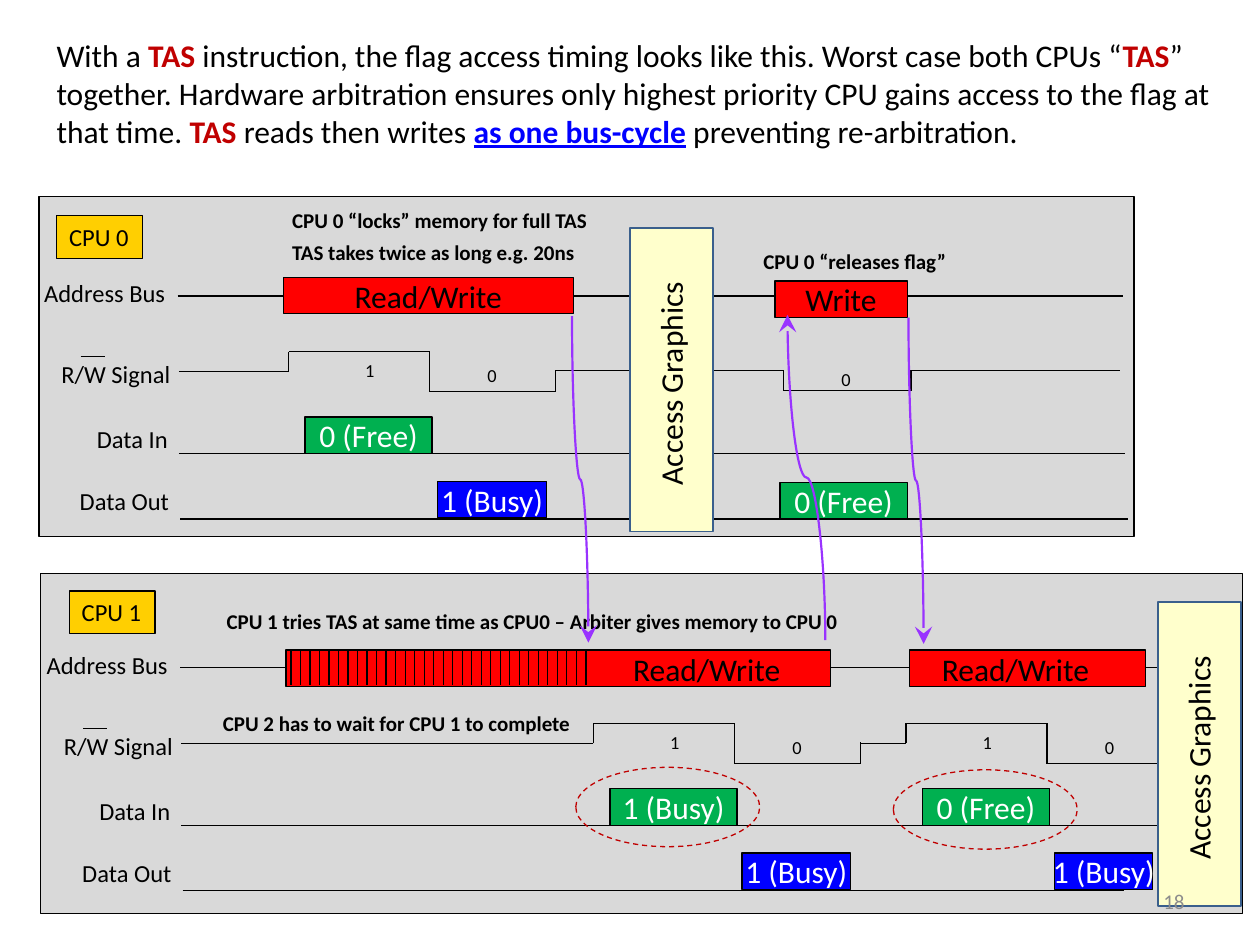
"""Build the slide on TAS flag access timing for two CPUs."""
from itertools import pairwise

from lxml.etree import SubElement
from pptx import Presentation
from pptx.dml.color import RGBColor
from pptx.enum.dml import MSO_LINE
from pptx.enum.shapes import MSO_CONNECTOR, MSO_SHAPE
from pptx.enum.text import MSO_ANCHOR, MSO_AUTO_SIZE, PP_ALIGN
from pptx.oxml.ns import qn
from pptx.util import Inches, Pt

COLORS = {
    "black": "000000", "white": "FFFFFF", "panel": "D9D9D9", "tag": "FFCF01",
    "access": "FF0000", "read": "00B050", "write": "0000FF", "graphics": "FFFFCC",
    "graphics_edge": "3A5F8C", "accent": "C00000", "handover": "9933FF", "number": "8C8C8C",
}
FORMATS = {
    "body": {"size": Pt(18)},
    "strong": {"size": Pt(18), "bold": True},
    "link": {"size": Pt(18), "bold": True, "underline": True},
    "label": {"size": Pt(14)},
    "note": {"size": Pt(12), "bold": True},
    "number": {"size": Pt(12)},
    "bit": {"size": Pt(10.5)},
}
INTRO = [
    ("With a ", "body", "black"), ("TAS", "strong", "accent"),
    (" instruction, the flag access timing looks like this. Worst case both CPUs “", "body", "black"),
    ("TAS", "strong", "accent"),
    ("” together. Hardware arbitration ensures only highest priority CPU gains access "
     "to the flag at that time. ", "body", "black"),
    ("TAS ", "strong", "accent"), ("reads then writes ", "body", "black"),
    ("as one bus-cycle", "link", "write"), (" preventing re-arbitration.", "body", "black"),
]
SIGNALS = [
    ("Address Bus", 0.13, 2.16), ("R/W Signal", 0.17, 2.8),
    ("Data In", 0.15, 3.32), ("Data Out", 0.16, 3.81),
]
NOTES = [
    ("TAS takes twice as long e.g. 20ns", 2.22, 1.85, 2.49),
    ("CPU 0 “locks” memory for full TAS", 2.22, 1.6, 2.59),
    ("CPU 0 “releases flag”", 5.96, 1.92, 1.67),
    ("CPU 2 has to wait for CPU 1 to complete", 1.67, 5.59, 3.01),
    ("CPU 1 tries TAS at same time as CPU0 – Arbiter gives memory to CPU 0", 1.7, 4.78, 5.13),
]
HANDOVERS = [((4.54, 2.51), (4.67, 5.1)), ((6.55, 5.08), (6.25, 2.5)), ((7.21, 2.52), (7.33, 5.11))]
CPU1_DOWN = 2.95
BAR_HEIGHT = 0.29


def rgb(name):
    """Return the named colour."""
    return RGBColor.from_string(COLORS[name])


def write(frame, runs, align=PP_ALIGN.LEFT):
    """Fill a text frame with one paragraph of formatted runs."""
    paragraph = frame.paragraphs[0]
    paragraph.alignment = align
    for words, style, color in runs:
        run = paragraph.add_run()
        run.text = words
        run.font.name = "Calibri"
        run.font.color.rgb = rgb(color)
        for attribute, value in FORMATS[style].items():
            setattr(run.font, attribute, value)


def add_words(slide, box, runs, align=PP_ALIGN.LEFT, wrap=False, grow=True):
    """Add a text box and return it."""
    words = slide.shapes.add_textbox(*map(Inches, box))
    words.text_frame.word_wrap = wrap
    if grow:
        words.text_frame.auto_size = MSO_AUTO_SIZE.SHAPE_TO_FIT_TEXT
    write(words.text_frame, runs, align)
    return words


def add_block(slide, box, fill, edge="black", width=0.75, kind=MSO_SHAPE.RECTANGLE):
    """Add an outlined preset shape, hollow when fill is None."""
    block = slide.shapes.add_shape(kind, *map(Inches, box))
    block.shadow.inherit = False
    if fill:
        block.fill.solid()
        block.fill.fore_color.rgb = rgb(fill)
    else:
        block.fill.background()
    block.line.color.rgb = rgb(edge)
    block.line.width = Pt(width)
    return block


def add_bar(slide, left, top, width, words, fill, ink="white"):
    """Add a bus activity bar with centred words."""
    frame = add_block(slide, (left, top, width, BAR_HEIGHT), fill).text_frame
    frame.word_wrap = False
    frame.vertical_anchor = MSO_ANCHOR.MIDDLE
    write(frame, [(words, "body", ink)], PP_ALIGN.CENTER)


def add_line(slide, start, end, color="black", width=0.75, kind=MSO_CONNECTOR.STRAIGHT):
    """Add a connector without shadow and return it."""
    line = slide.shapes.add_connector(kind, *map(Inches, (*start, *end)))
    line.line.color.rgb = rgb(color)
    line.line.width = Pt(width)
    SubElement(line._element.spPr, qn("a:effectLst"))
    return line


def add_trace(slide, points):
    """Draw a signal level as straight segments through the points."""
    for start, end in pairwise(points):
        add_line(slide, start, end)


def add_handover(slide, start, end):
    """Add a curved arrow that leaves and arrives vertically."""
    middle_x, middle_y = (start[0] + end[0]) / 2, (start[1] + end[1]) / 2
    turned = [(middle_x + middle_y - y, middle_y + x - middle_x) for x, y in (start, end)]
    curve = add_line(slide, *turned, "handover", 1.25, MSO_CONNECTOR.CURVE)
    curve._element.spPr.find(qn("a:xfrm")).set("rot", str(270 * 60000))
    SubElement(curve.line._get_or_add_ln(), qn("a:tailEnd"), type="stealth", w="lg", len="lg")


def add_panel(slide, name, box, tag_at, right, down, line_ends):
    """Add a CPU panel with its tag, signal labels and base lines."""
    add_block(slide, box, "panel")
    tag = add_block(slide, (*tag_at, 0.68, 0.34), "tag").text_frame
    tag.word_wrap = False
    tag.vertical_anchor = MSO_ANCHOR.TOP
    write(tag, [(name, "label", "black")])
    for signal, left, top in SIGNALS:
        add_words(slide, (left + right, top + down, 1.28, 0.34),
                  [(signal, "label", "black")], PP_ALIGN.RIGHT, wrap=True)
    add_line(slide, (0.64 + right, 2.83 + down), (0.83 + right, 2.83 + down))
    for left, y, end in zip((1.41, 1.42, 1.43), (2.35, 3.6, 4.12), line_ends):
        add_line(slide, (left + right, y + down), (end, y + down))


def add_bit(slide, value, left, top):
    """Add the level digit of the R/W signal."""
    add_words(slide, (left, top, 0.26, BAR_HEIGHT), [(value, "bit", "black")])


def add_cycle(slide, right, down, data_in, out_width, lead_in, ends_high=True):
    """Add one read-then-write cycle: R/W levels, digits and data bars."""
    levels = [(2.29, 2.95), (2.29, 2.79), (3.41, 2.79), (3.41, 3.11), (4.41, 3.11), (4.41, 2.94)]
    shifted = [(x + right, y + down) for x, y in levels]
    add_trace(slide, [(lead_in, 2.95 + down)] + (shifted if ends_high else shifted[:-1]))
    add_bit(slide, "1", 2.8 + right, 2.8 + down)
    add_bit(slide, "0", 3.77 + right, 2.84 + down)
    add_bar(slide, 2.42 + right, 3.31 + down, 1.01, data_in, "read")
    add_bar(slide, 3.47 + right, 3.82 + down, out_width, "1 (Busy)", "write")


def add_graphics(slide, left, top):
    """Add the tall graphics access block with upward words."""
    add_block(slide, (left, top, 0.66, 2.41), "graphics", "graphics_edge", 1)
    words = add_words(slide, (left - 0.61, top + 1.05, 1.83, 0.37),
                      [("Access Graphics", "body", "black")], PP_ALIGN.CENTER)
    words.rotation = 270


def add_cpu0(slide):
    """Add the timing of CPU 0, which wins the bus."""
    add_panel(slide, "CPU 0", (0.31, 1.56, 8.69, 2.7), (0.45, 1.71), 0, 0, (8.91, 8.93, 8.95))
    add_bar(slide, 2.25, 2.2, 2.3, "Read/Write", "access", "black")
    add_cycle(slide, 0, 0, "0 (Free)", 0.87, 1.42)
    add_trace(slide, [(4.41, 2.94), (6.22, 2.94), (6.22, 3.1), (7.23, 3.1), (7.23, 2.94), (8.89, 2.94)])
    add_graphics(slide, 5, 1.81)
    add_bar(slide, 6.15, 2.23, 1.05, "Write", "access", "black")
    add_bit(slide, "0", 6.58, 2.87)
    add_bar(slide, 6.19, 3.83, 1.01, "0 (Free)", "read")


def add_cpu1(slide):
    """Add the timing of CPU 1, which waits and tries again."""
    add_panel(slide, "CPU 1", (0.32, 4.55, 9.54, 2.7), (0.55, 4.69), 0.02, CPU1_DOWN, (9.54, 9.43, 8.92))
    first, last, count = 2.31, 4.65, 32
    for left, width, words_left in ((2.27, 4.32, 4.91), (7.22, 1.87, 7.36)):
        add_block(slide, (left, 5.16, width, BAR_HEIGHT), "access")
        add_words(slide, (words_left, 5.11, 1.4, 0.4), [("Read/Write", "body", "black")], PP_ALIGN.CENTER)
    for index in range(count):
        x = first + index * (last - first) / (count - 1)
        add_line(slide, (x, 5.16), (x, 5.44))
    add_cycle(slide, 2.42, CPU1_DOWN, "1 (Busy)", 0.86, 1.44)
    add_cycle(slide, 4.9, CPU1_DOWN, "0 (Free)", 0.78, 6.83, ends_high=False)
    for left, top in ((4.57, 6.09), (7.09, 6.11)):
        ring = add_block(slide, (left, top, 1.46, 0.63), None, "accent", kind=MSO_SHAPE.OVAL)
        ring.line.dash_style = MSO_LINE.DASH
    add_graphics(slide, 9.19, 4.78)


def main():
    """Assemble and save the slide."""
    deck = Presentation()
    deck.slide_width, deck.slide_height = Inches(10), Inches(7.5)
    slide = deck.slides.add_slide(deck.slide_layouts[6])
    add_words(slide, (0.35, 0.24, 9.49, 1.26), INTRO, wrap=True, grow=False)
    add_cpu0(slide)
    add_cpu1(slide)
    for words, left, top, width in NOTES:
        add_words(slide, (left, top, width, 0.3), [(words, "note", "black")])
    number = add_words(slide, (7.17, 6.95, 2.33, 0.4), [("18", "number", "number")],
                       PP_ALIGN.RIGHT, wrap=True, grow=False)
    number.text_frame.vertical_anchor = MSO_ANCHOR.MIDDLE
    for start, end in HANDOVERS:
        add_handover(slide, start, end)
    deck.save("out.pptx")


if __name__ == "__main__":
    main()
